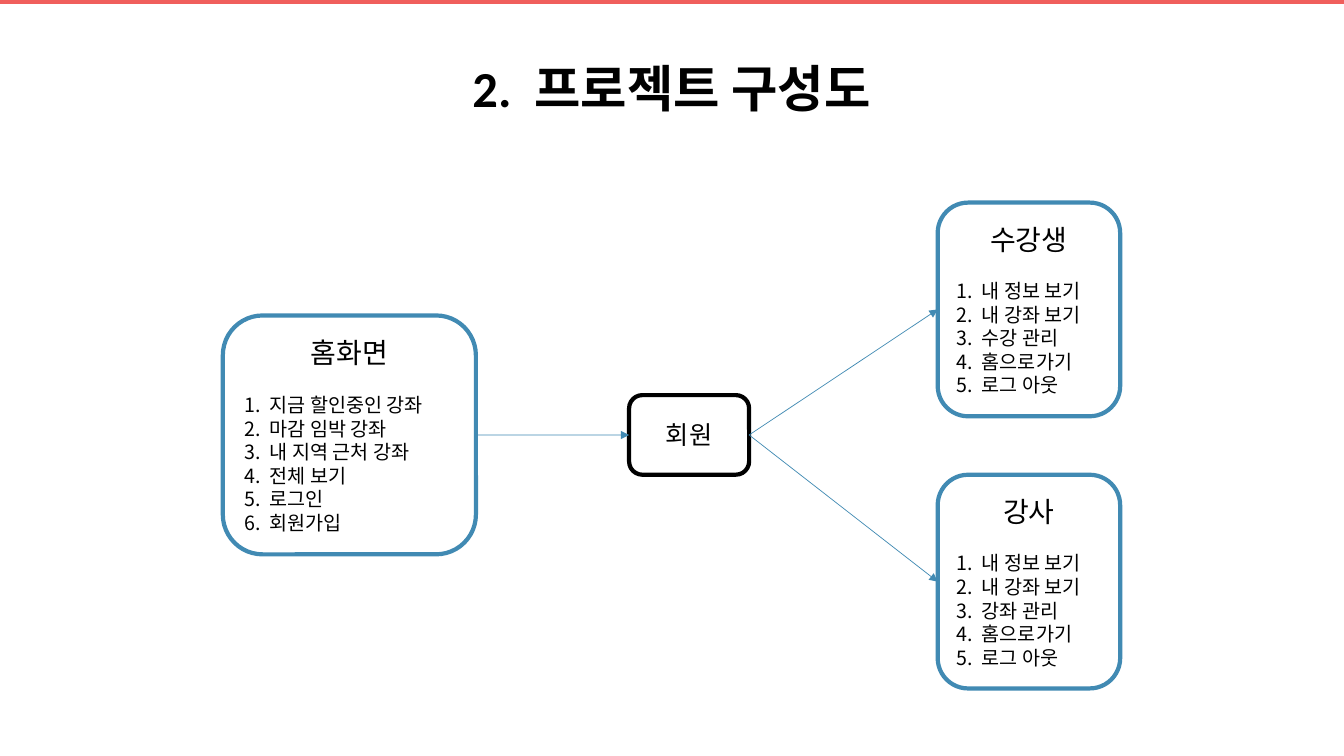
from lxml import etree
from pptx import Presentation, util as u
from pptx.dml.color import RGBColor
from pptx.enum import shapes, text
from pptx.oxml.ns import qn

WIDE, HIGH = u.Inches(13.33), u.Inches(7.5)
HUE = {"bar": "F05F5C", "edge": "418AB3", "ink": "000000", "paper": "FFFFFF"}
SANS = "Noto Sans CJK KR"
HEAD = {"size": u.Pt(20), "name": SANS}
ITEM = {"size": u.Pt(14), "name": SANS}
ROLE = {"size": u.Pt(18), "name": SANS}
TITLE = {"size": u.Pt(36), "name": "Calibri", "bold": True}
LEAD = 1.2  # line pitch per point of text
ROUND = shapes.MSO_SHAPE.ROUNDED_RECTANGLE
LEFT, RIGHT = 1, 3  # connection sites of a box

HOME = ["지금 할인중인 강좌", "마감 임박 강좌", "내 지역 근처 강좌",
        "전체 보기", "로그인", "회원가입"]


def duties(task):
    return ["내 정보 보기", "내 강좌 보기", task, "홈으로가기", "로그 아웃"]


def rgb(key):
    return RGBColor.from_string(HUE[key])


def area(x, y, w, h):
    """Turn percentages of the slide into lengths."""
    return [round(part * side / 100)
            for part, side in zip((x, y, w, h), (WIDE, HIGH) * 2)]


def add_run(para, words, form, gap=0):
    """Add a run; gap is extra letter spacing in points."""
    run = para.add_run()
    run.text = words
    for key, value in form.items():
        setattr(run.font, key, value)
    run.font.color.rgb = rgb("ink")
    props = run.font._element
    etree.SubElement(props, qn("a:ea"), typeface=form["name"])
    if gap:
        props.set("spc", str(round(gap * 100)))


def add_count(para, num, words, form):
    """Write a number, a widened space and the words."""
    add_run(para, f"{num}.", form)
    add_run(para, " ", form, form["size"].pt * 0.23)
    add_run(para, words, form)


def set_line(para, form, align):
    para.alignment = align
    para.line_spacing = u.Pt(form["size"].pt * LEAD)


def add_box(slide, kind, place, fill, edge=None):
    box = slide.shapes.add_shape(kind, *area(*place))
    box.shadow.inherit = False
    box.fill.solid()
    box.fill.fore_color.rgb = rgb(fill)
    if edge:
        box.line.color.rgb = rgb(edge)
        box.line.width = u.Pt(3)
    else:
        box.line.fill.background()
    return box


def add_card(slide, place, name, items=(), edge="edge", form=HEAD):
    box = add_box(slide, ROUND, place, "paper", edge)
    frame = box.text_frame
    frame.word_wrap = True
    frame.vertical_anchor = text.MSO_ANCHOR.MIDDLE
    head = frame.paragraphs[0]
    set_line(head, form, text.PP_ALIGN.CENTER)
    add_run(head, name, form)
    if items:
        head.space_after = u.Pt(ITEM["size"].pt * LEAD)
    for num, words in enumerate(items, 1):
        para = frame.add_paragraph()
        set_line(para, ITEM, text.PP_ALIGN.LEFT)
        add_count(para, num, words, ITEM)
    return box


def add_arrow(slide, start, end):
    """Join the right side of start to the left side of end."""
    link = slide.shapes.add_connector(shapes.MSO_CONNECTOR.STRAIGHT, 0, 0, 0, 0)
    link.begin_connect(start, RIGHT)
    link.end_connect(end, LEFT)
    link.line.color.rgb = rgb("edge")
    link.line.width = u.Pt(0.5)
    etree.SubElement(link.line._get_or_add_ln(), qn("a:tailEnd"), type="triangle")
    etree.SubElement(link._element.spPr, qn("a:effectLst"))


def add_title(slide, place, num, words):
    title = slide.shapes.title
    title.left, title.top, title.width, title.height = area(*place)
    frame = title.text_frame
    frame.vertical_anchor = text.MSO_ANCHOR.MIDDLE
    para = frame.paragraphs[0]
    para.alignment = text.PP_ALIGN.CENTER
    add_count(para, num, words, TITLE)


def main():
    deck = Presentation()
    deck.slide_width, deck.slide_height = WIDE, HIGH
    slide = deck.slides.add_slide(deck.slide_layouts[5])
    add_box(slide, shapes.MSO_SHAPE.RECTANGLE, (0, 0, 100, 0.53), "bar")
    add_title(slide, (6.83, 5.47, 86.27, 12.13), 2, "프로젝트 구성도")
    home = add_card(slide, (16.58, 41.73, 18.83, 31.6), "홈화면", HOME)
    member = add_card(slide, (46.81, 52.27, 8.93, 10.53), "회원",
                      edge="ink", form=ROLE)
    add_arrow(slide, home, member)
    for top, name, task in ((26.8, "수강생", "수강 관리"),
                            (62.8, "강사", "강좌 관리")):
        card = add_card(slide, (69.77, top, 13.58, 28.27), name, duties(task))
        add_arrow(slide, member, card)
    deck.save("out.pptx")


if __name__ == "__main__":
    main()
